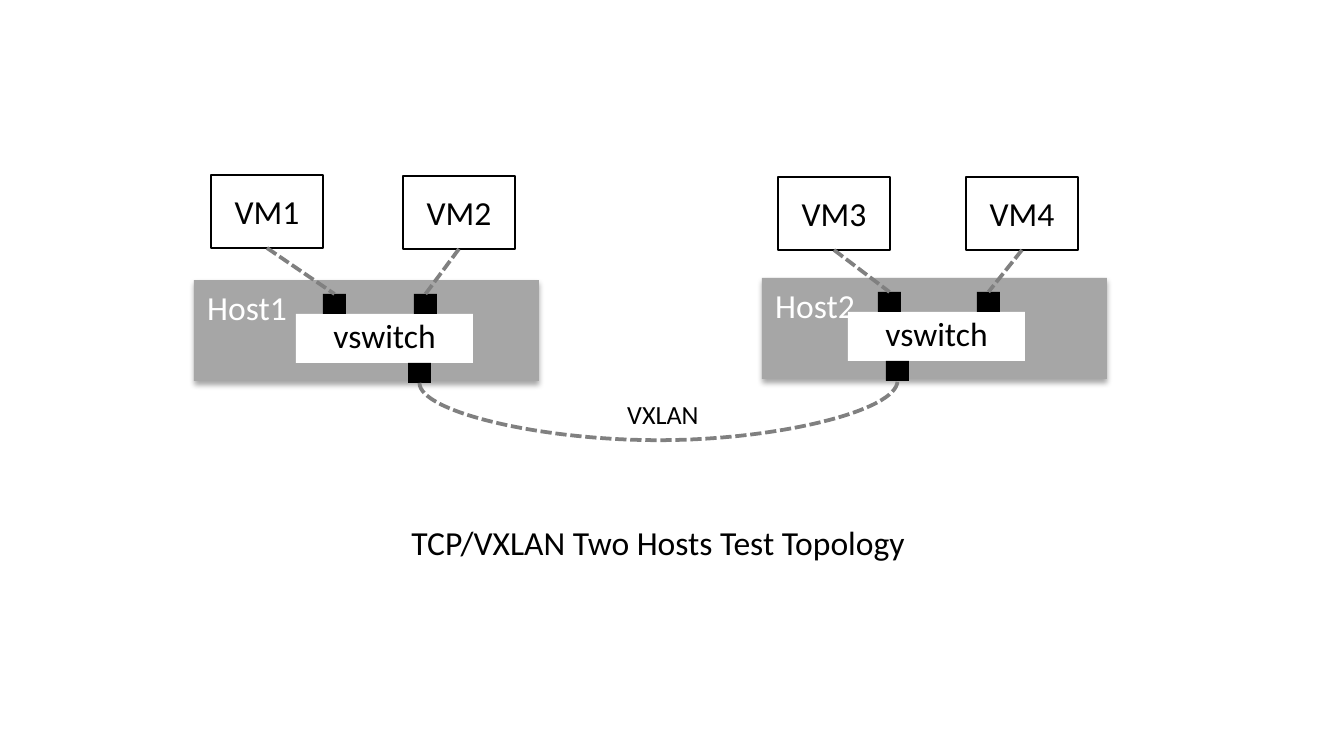
from lxml import etree
from pptx import Presentation
from pptx import util as u
from pptx.dml.color import RGBColor
from pptx.enum import dml, shapes, text
from pptx.oxml.ns import qn

PX = 914400 / 134.4
FONT = "Calibri"
BLACK = RGBColor(0, 0, 0)
WHITE = RGBColor(255, 255, 255)
HOST_GRAY = RGBColor(0xA6, 0xA6, 0xA6)
LINK_GRAY = RGBColor(0x80, 0x80, 0x80)
HOST_W, HOST_H = 345, 101
VM_W, VM_H = 112, 73
SWITCH_W, SWITCH_H = 177, 49
PORT_W, PORT_H = 23, 20


def px(*values):
    return [u.Emu(round(v * PX)) for v in values]


def write(tf, words, color=BLACK, size=18, align=text.PP_ALIGN.LEFT,
          anchor=text.MSO_ANCHOR.TOP):
    tf.vertical_anchor = anchor
    p = tf.paragraphs[0]
    p.alignment = align
    r = p.add_run()
    r.text = words
    r.font.name = FONT
    r.font.size = u.Pt(size)
    r.font.color.rgb = color


def add_rect(s, box, fill=None, line=None):
    sp = s.shapes.add_shape(shapes.MSO_SHAPE.RECTANGLE, *px(*box))
    sp.shadow.inherit = False
    if fill is None:
        sp.fill.background()
    else:
        sp.fill.solid()
        sp.fill.fore_color.rgb = fill
    if line is None:
        sp.line.fill.background()
    else:
        sp.line.color.rgb = line
        sp.line.width = u.Pt(0.75)
    return sp


def add_shadow(sp):
    effects = sp._element.spPr.find(qn("a:effectLst"))
    shadow = etree.SubElement(effects, qn("a:outerShdw"), blurRad="40000",
                              dist="23000", dir="5400000", rotWithShape="0")
    color = etree.SubElement(shadow, qn("a:srgbClr"), val=str(BLACK))
    etree.SubElement(color, qn("a:alpha"), val="35000")


def add_link(s, start, end, kind=shapes.MSO_CONNECTOR.STRAIGHT):
    link = s.shapes.add_connector(kind, *px(*start, *end))
    link.line.color.rgb = LINK_GRAY
    link.line.width = u.Pt(2)
    link.line.dash_style = dml.MSO_LINE.SQUARE_DOT
    etree.SubElement(link._element.spPr, qn("a:effectLst"))
    return link


def add_label(s, box, words, size):
    tf = s.shapes.add_textbox(*px(*box)).text_frame
    tf.word_wrap = False
    write(tf, words, size=size)


def add_host(s, x, y, name, vms, switch_x, uplink_x):
    host = add_rect(s, (x, y, HOST_W, HOST_H), HOST_GRAY)
    add_shadow(host)
    write(host.text_frame, name, WHITE)

    switch_y = y + 34
    switch = add_rect(s, (x + switch_x, switch_y, SWITCH_W, SWITCH_H), WHITE)
    tf = switch.text_frame
    tf.margin_top = 0
    write(tf, "vswitch", align=text.PP_ALIGN.CENTER, anchor=text.MSO_ANCHOR.MIDDLE)

    port_y = switch_y - PORT_H
    for vm_name, vm_x, vm_y, port_x in vms:
        vm = add_rect(s, (x + vm_x, y + vm_y, VM_W, VM_H), line=BLACK)
        write(vm.text_frame, vm_name, align=text.PP_ALIGN.CENTER,
              anchor=text.MSO_ANCHOR.MIDDLE)
        add_rect(s, (x + port_x, port_y, PORT_W, PORT_H), BLACK)
        add_link(s, (x + vm_x + VM_W / 2, y + vm_y + VM_H),
                 (x + port_x + PORT_W / 2, port_y))

    uplink_y = switch_y + SWITCH_H
    add_rect(s, (x + uplink_x, uplink_y, PORT_W, PORT_H), BLACK)
    return x + uplink_x + PORT_W / 2, uplink_y + PORT_H


def add_tunnel(s, start, end, drop):
    mid_x, mid_y = (start[0] + end[0]) / 2, (start[1] + end[1]) / 2
    span, rise = end[0] - start[0], start[1] - end[1]
    tunnel = add_link(s, (mid_x + rise / 2, mid_y + span / 2),
                      (mid_x - rise / 2, mid_y - span / 2),
                      shapes.MSO_CONNECTOR.CURVE)
    sp_pr = tunnel._element.spPr
    sp_pr.find(qn("a:xfrm")).set("rot", "5400000")
    guides = sp_pr.find(qn("a:prstGeom")).find(qn("a:avLst"))
    etree.SubElement(guides, qn("a:gd"), name="adj1",
                     fmla=f"val {round(-drop / rise * 100000)}")
    add_label(s, (614, 392, 99, 46), "VXLAN", 14)


def add_title(s, box):
    title = s.shapes.title
    title.left, title.top, title.width, title.height = px(*box)
    tf = title.text_frame
    tf.word_wrap = False
    tf.auto_size = text.MSO_AUTO_SIZE.NONE
    write(tf, "TCP/VXLAN Two Hosts Test Topology")


def main():
    prs = Presentation()
    prs.slide_width, prs.slide_height = px(1344, 756)
    s = prs.slides.add_slide(prs.slide_layouts[5])
    add_title(s, (398, 515, 536, 54))
    left = add_host(s, 194, 280, "Host1",
                    [("VM1", 17, -105, 129), ("VM2", 209, -104, 220)], 102, 214)
    right = add_host(s, 762, 278, "Host2",
                     [("VM3", 16, -101, 116), ("VM4", 204, -101, 215)], 86, 124)
    add_tunnel(s, left, right, 57)
    prs.save("out.pptx")


if __name__ == "__main__":
    main()
